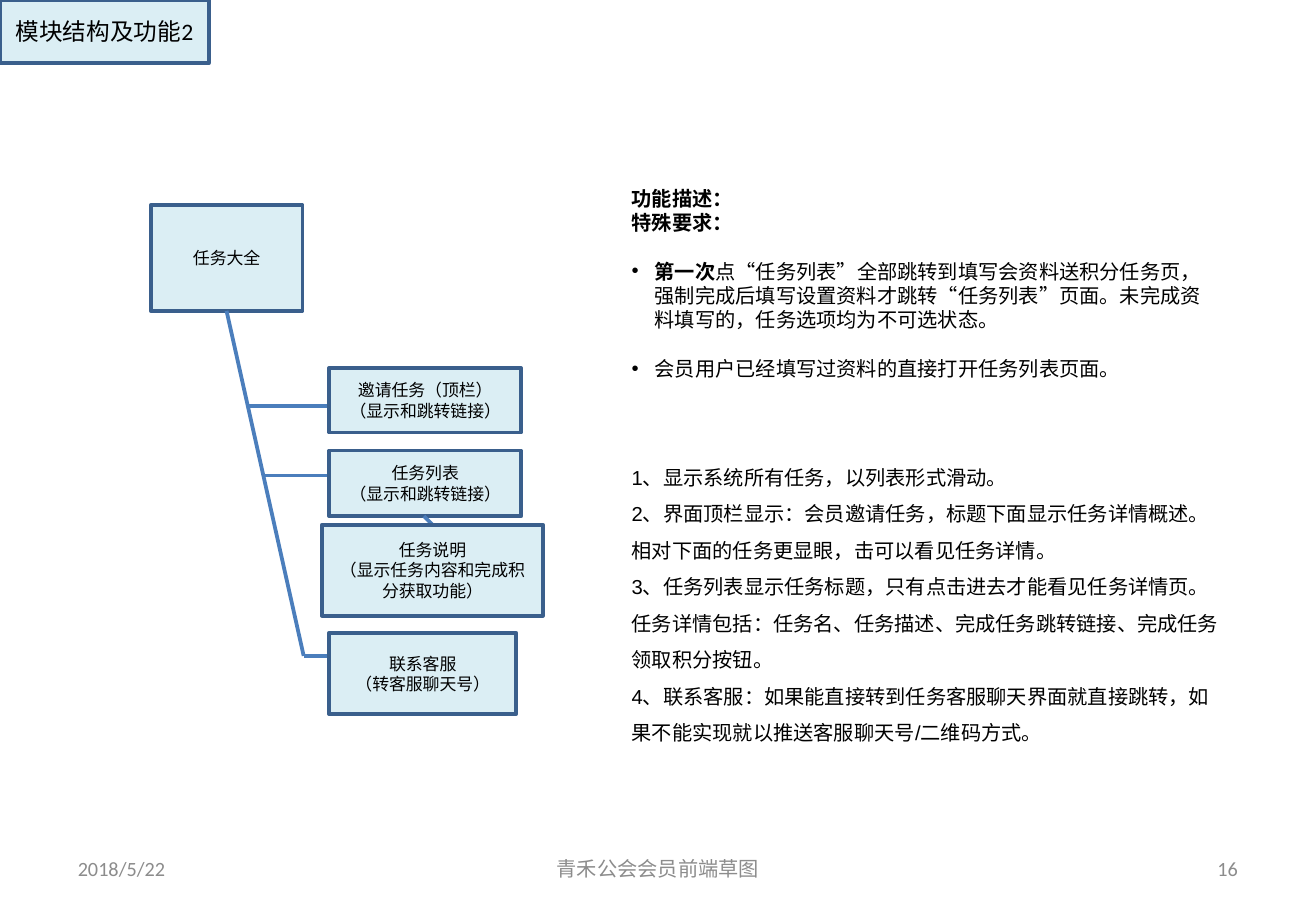
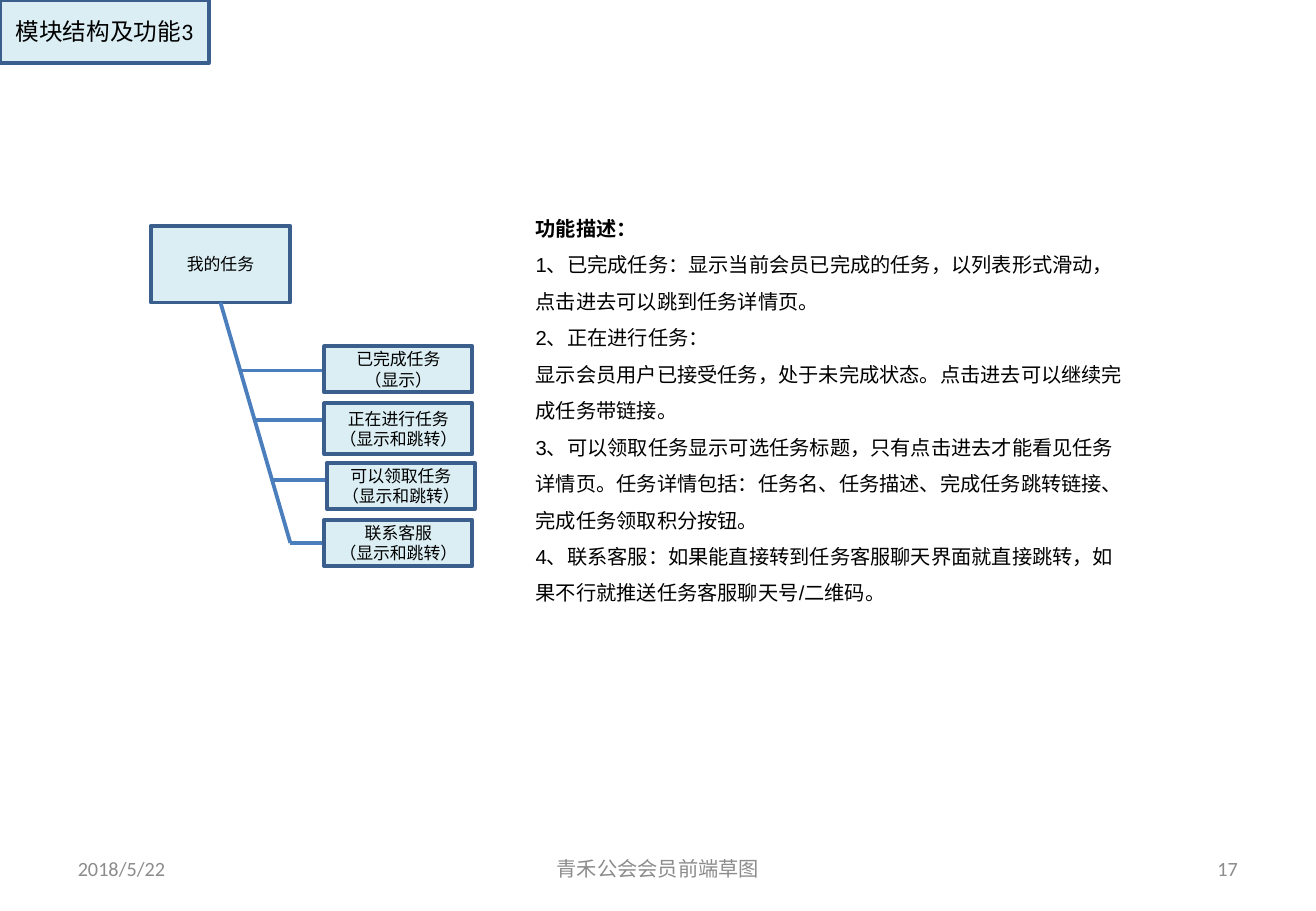
from dataclasses import dataclass

from lxml.etree import SubElement
from pptx import Presentation
from pptx.dml.color import RGBColor
from pptx.enum.shapes import MSO_CONNECTOR, MSO_SHAPE
from pptx.enum.text import MSO_ANCHOR, MSO_AUTO_SIZE, PP_ALIGN
from pptx.oxml.ns import qn
from pptx.util import Pt


@dataclass(frozen=True)
class Theme:
    """Colours, fonts and type sizes shared by the slides."""
    panel: RGBColor = RGBColor(0xDB, 0xEE, 0xF4)
    border: RGBColor = RGBColor(0x3A, 0x5F, 0x8C)
    branch: RGBColor = RGBColor(0x4B, 0x7E, 0xBC)
    ink: RGBColor = RGBColor(0, 0, 0)
    muted: RGBColor = RGBColor(0x8C, 0x8C, 0x8C)
    label_font: str = "Calibri"
    prose_font: str = "Arial"
    title_size: float = 14
    text_size: float = 12
    node_size: float = 10
    stroke: float = 2.25


@dataclass(frozen=True)
class Para:
    """A paragraph of the description, with an optional bold lead."""
    text: str
    lead: str = ""
    spacing: float = 1.5
    before: float = 0
    bullet: bool = False


def assign(target, **values):
    """Set each named attribute on the target."""
    for name, value in values.items():
        setattr(target, name, value)


class Deck:
    """Holds the presentation, its theme and the current slide."""

    def __init__(self, theme):
        """Open an empty presentation of the right size."""
        self.theme = theme
        self.prs = Presentation()
        assign(self.prs, slide_width=Pt(780), slide_height=Pt(540))
        self.slide = None

    def start(self, heading, number):
        """Add a slide with its corner title and footer."""
        self.slide = self.prs.slides.add_slide(self.prs.slide_layouts[1])
        title = self.slide.shapes.title
        self.place(title, 0, 0, 123.8, 37.4)
        self.panel(title)
        self.label(title, [heading], self.theme.title_size)
        assign(title.text_frame, margin_left=0, margin_right=0)
        self.footer(39, 182, "2018/5/22", PP_ALIGN.LEFT)
        self.footer(558.8, 182, number, PP_ALIGN.RIGHT)
        self.footer(266.5, 247, "青禾公会会员前端草图", PP_ALIGN.CENTER)

    def place(self, shape, left, top, width, height):
        """Move and size a shape."""
        assign(shape, left=Pt(left), top=Pt(top), width=Pt(width), height=Pt(height))

    def panel(self, shape):
        """Give a shape the pale fill and dark border."""
        shape.fill.solid()
        shape.fill.fore_color.rgb = self.theme.panel
        shape.line.color.rgb = self.theme.border
        shape.line.width = Pt(self.theme.stroke)

    def style(self, run, font, size, color, bold=False):
        """Format one run."""
        assign(run.font, name=font, size=Pt(size), bold=bold)
        run.font.color.rgb = color

    def label(self, shape, lines, size, color=None, align=PP_ALIGN.CENTER):
        """Fill a shape with label lines, centred vertically."""
        frame = shape.text_frame
        assign(frame, word_wrap=True, auto_size=MSO_AUTO_SIZE.NONE,
               vertical_anchor=MSO_ANCHOR.MIDDLE)
        for index, line in enumerate(lines):
            paragraph = frame.add_paragraph() if index else frame.paragraphs[0]
            paragraph.alignment = align
            run = paragraph.add_run()
            run.text = line
            self.style(run, self.theme.label_font, size, color or self.theme.ink)

    def footer(self, left, width, text, align):
        """Add one part of the footer."""
        part = self.slide.shapes.add_textbox(Pt(left), Pt(500.5), Pt(width), Pt(28.8))
        self.label(part, [text], self.theme.text_size, self.theme.muted, align)

    def node(self, left, top, width, height, *lines):
        """Add a labelled box of the module tree."""
        box = self.slide.shapes.add_shape(
            MSO_SHAPE.RECTANGLE, Pt(left), Pt(top), Pt(width), Pt(height))
        box.shadow.inherit = False
        self.panel(box)
        self.label(box, lines, self.theme.node_size)

    def link(self, x1, y1, x2, y2):
        """Add a straight line of the module tree."""
        line = self.slide.shapes.add_connector(
            MSO_CONNECTOR.STRAIGHT, Pt(x1), Pt(y1), Pt(x2), Pt(y2))
        line.line.color.rgb = self.theme.branch
        line.line.width = Pt(self.theme.stroke)
        SubElement(line._element.spPr, qn("a:effectLst"))

    def tree(self, root, name, tip, branches):
        """Add the root box, a slanted trunk to its tip, and level branches."""
        left, top, width, height = root
        self.node(*root, name)
        x, y = left + width / 2, top + height
        self.link(x, y, *tip)
        for level, reach in branches:
            share = (level - y) / (tip[1] - y)
            self.link(x + share * (tip[0] - x), level, reach, level)

    def description(self, left, top, height, paras):
        """Fill the body placeholder with the description."""
        body = self.slide.placeholders[1]
        self.place(body, left, top, 363, height)
        frame = body.text_frame
        assign(frame, word_wrap=True, auto_size=MSO_AUTO_SIZE.NONE,
               vertical_anchor=MSO_ANCHOR.TOP)
        for index, para in enumerate(paras):
            paragraph = frame.add_paragraph() if index else frame.paragraphs[0]
            assign(paragraph, line_spacing=para.spacing, space_before=Pt(para.before),
                   space_after=Pt(0), alignment=PP_ALIGN.LEFT)
            indent = Pt(13.7) if para.bullet else 0
            props = paragraph._p.get_or_add_pPr()
            props.set("marL", str(indent))
            props.set("indent", str(-indent))
            if not para.bullet:
                SubElement(props, qn("a:buNone"))
            font = self.theme.label_font if para.bullet else self.theme.prose_font
            for text, bold in ((para.lead, True), (para.text, False)):
                if text:
                    run = paragraph.add_run()
                    run.text = text
                    self.style(run, font, self.theme.text_size, self.theme.ink, bold)


def task_hub(deck):
    """Build the slide on the task hub."""
    deck.start("模块结构及功能2", "16")
    deck.description(367.2, 99.4, 363.6, [
        Para("", lead="功能描述："),
        Para("", lead="特殊要求：", spacing=1.0),
        Para("点“任务列表”全部跳转到填写会资料送积分任务页，强制完成后填写设置资料才跳转"
             "“任务列表”页面。未完成资料填写的，任务选项均为不可选状态。",
             lead="第一次", spacing=1.0, before=14.4, bullet=True),
        Para("会员用户已经填写过资料的直接打开任务列表页面。",
             spacing=1.0, before=14.4, bullet=True),
        Para("1、显示系统所有任务，以列表形式滑动。", before=43.2),
        Para("2、界面顶栏显示：会员邀请任务，标题下面显示任务详情概述。"
             "相对下面的任务更显眼，击可以看见任务详情。"),
        Para("3、任务列表显示任务标题，只有点击进去才能看见任务详情页。"
             "任务详情包括：任务名、任务描述、完成任务跳转链接、完成任务领取积分按钮。"),
        Para("4、联系客服：如果能直接转到任务客服聊天界面就直接跳转，"
             "如果不能实现就以推送客服聊天号/二维码方式。"),
    ])
    deck.tree((89.3, 121.7, 90, 62.6), "任务大全", (180, 388.8),
              [(240.5, 226.8), (281.8, 217.4), (388.8, 229.7)])
    deck.node(195.1, 218.2, 113.8, 38.2, "邀请任务（顶栏）", "（显示和跳转链接）")
    deck.node(195.1, 267.1, 113.8, 38.9, "任务列表", "（显示和跳转链接）")
    deck.node(195.1, 375.1, 110.9, 48.2, "联系客服", "（转客服聊天号）")
    deck.link(251.3, 306, 256.3, 311)
    deck.node(190.8, 311, 131, 54, "任务说明", "（显示任务内容和完成积分获取功能）")


def my_tasks(deck):
    """Build the slide on the member's own tasks."""
    deck.start("模块结构及功能3", "17")
    deck.description(310.3, 117.4, 262, [
        Para("", lead="功能描述："),
        Para("1、已完成任务：显示当前会员已完成的任务，以列表形式滑动，"
             "点击进去可以跳到任务详情页。"),
        Para("2、正在进行任务："),
        Para("显示会员用户已接受任务，处于未完成状态。点击进去可以继续完成任务带链接。"),
        Para("3、可以领取任务显示可选任务标题，只有点击进去才能看见任务详情页。"
             "任务详情包括：任务名、任务描述、完成任务跳转链接、完成任务领取积分按钮。"),
        Para("4、联系客服：如果能直接转到任务客服聊天界面就直接跳转，"
             "如果不行就推送任务客服聊天号/二维码。"),
    ])
    deck.tree((89.3, 133.9, 82.8, 45.4), "我的任务", (172.1, 321.8),
              [(219.6, 215.3), (248.8, 207.4), (284.4, 205.9), (321.8, 192.2)])
    for left, top, height, name, action in (
            (192.2, 205.2, 27.4, "已完成任务", "（显示）"),
            (192.2, 239, 30.2, "正在进行任务", "（显示和跳转）"),
            (193.7, 274.3, 27.4, "可以领取任务", "（显示和跳转）"),
            (192.2, 308.2, 27.4, "联系客服", "（显示和跳转）")):
        deck.node(left, top, 87.8, height, name, action)


deck = Deck(Theme())
task_hub(deck)
my_tasks(deck)
deck.prs.save("out.pptx")
